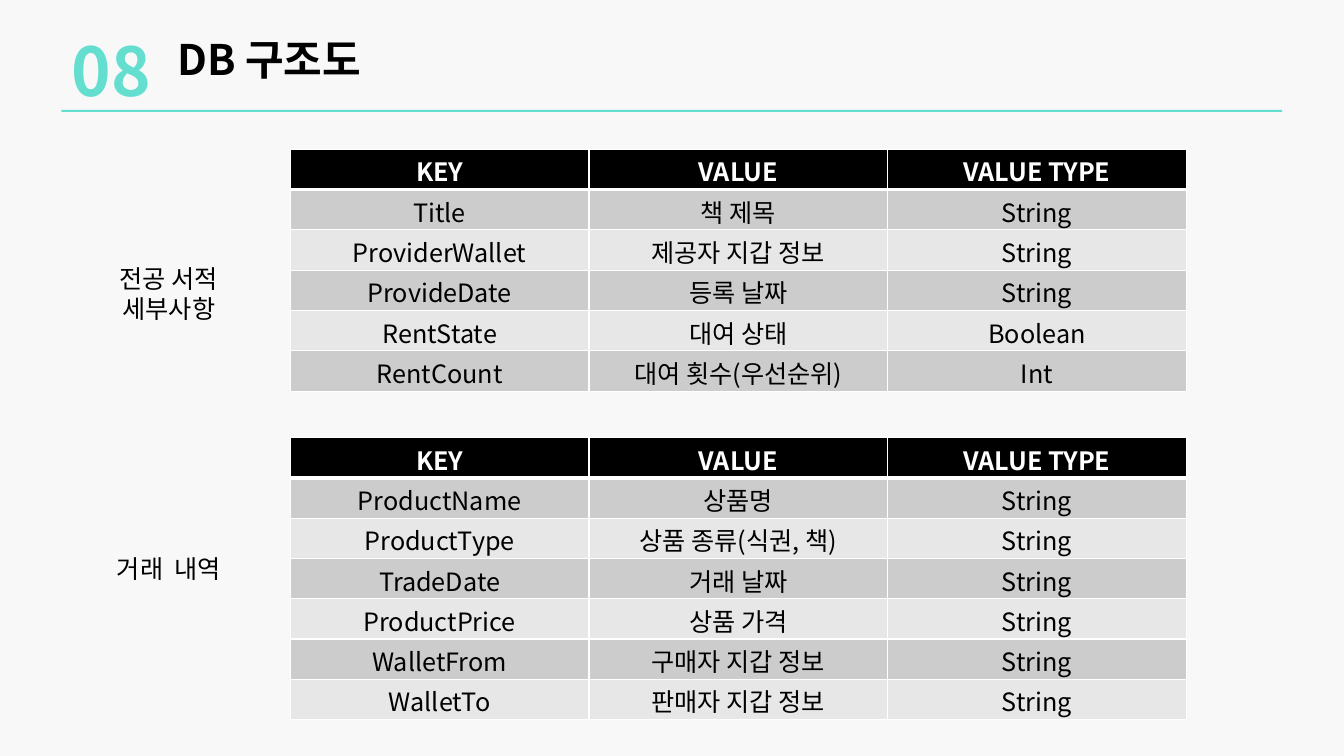
from dataclasses import dataclass

from lxml.etree import SubElement
from pptx import Presentation
from pptx.dml.color import RGBColor
from pptx.enum.shapes import MSO_SHAPE
from pptx.enum.text import MSO_ANCHOR, PP_ALIGN
from pptx.oxml.ns import qn
from pptx.util import Pt

FONT = "Noto Sans CJK KR"
MINT, BLACK, WHITE = "64DECF", "000000", "FFFFFF"
BACKGROUND = "F8F8F8"
BANDS = ("CCCCCC", "E7E7E7")
HEADER = ("KEY", "VALUE", "VALUE TYPE")
MARGIN_LEFT = 43.9
TABLE_LEFT, TABLE_WIDTH, ROW_HEIGHT = 207.4, 640, 28.8
BODY_SIZE = 18


@dataclass
class Caption:
    text: str
    left: float
    top: float
    width: float
    height: float
    size: float
    line_pitch: float
    color: str = BLACK
    bold: bool = False
    align: PP_ALIGN = PP_ALIGN.LEFT
    inset: float = 7.2
    wrap: bool = True


@dataclass
class Schema:
    top: float
    fields: list[tuple[str, str, str]]


def rgb(color: str) -> RGBColor:
    return RGBColor.from_string(color)


def style_paragraph(paragraph, size: float, color: str, bold: bool, align: PP_ALIGN) -> None:
    paragraph.alignment = align
    font = paragraph.font
    font.size, font.bold, font.name = Pt(size), bold, FONT
    font.color.rgb = rgb(color)
    # Hangul takes the East Asian typeface
    defaults = paragraph._p.pPr.find(qn("a:defRPr"))
    SubElement(defaults, qn("a:ea"), typeface=FONT)


def draw_caption(slide, caption: Caption) -> None:
    box = slide.shapes.add_textbox(
        Pt(caption.left), Pt(caption.top), Pt(caption.width), Pt(caption.height))
    frame = box.text_frame
    frame.word_wrap = caption.wrap
    frame.margin_left = frame.margin_right = Pt(caption.inset)
    paragraph = frame.paragraphs[0]
    paragraph.text = caption.text
    paragraph.line_spacing = Pt(caption.line_pitch)
    style_paragraph(paragraph, caption.size, caption.color, caption.bold, caption.align)


def draw_borders(cell, top: float, bottom: float) -> None:
    properties = cell._tc.get_or_add_tcPr()
    for side, width in (("L", 1), ("R", 1), ("T", top), ("B", bottom)):
        line = SubElement(properties, qn(f"a:ln{side}"), w=str(Pt(width)))
        SubElement(SubElement(line, qn("a:solidFill")), qn("a:srgbClr"), val=WHITE)


def draw_schema(slide, schema: Schema) -> None:
    rows = [HEADER, *schema.fields]
    table = slide.shapes.add_table(
        len(rows), len(HEADER), Pt(TABLE_LEFT), Pt(schema.top),
        Pt(TABLE_WIDTH), Pt(ROW_HEIGHT * len(rows))).table
    for row_index, row in enumerate(rows):
        table.rows[row_index].height = Pt(ROW_HEIGHT)
        is_header = row_index == 0
        fill = BLACK if is_header else BANDS[(row_index - 1) % 2]
        for column_index, text in enumerate(row):
            cell = table.cell(row_index, column_index)
            draw_borders(cell, 3 if row_index == 1 else 1, 3 if is_header else 1)
            cell.fill.solid()
            cell.fill.fore_color.rgb = rgb(fill)
            cell.vertical_anchor = MSO_ANCHOR.MIDDLE
            cell.margin_top, cell.margin_bottom = Pt(2), Pt(0)
            paragraph = cell.text_frame.paragraphs[0]
            paragraph.text = text
            style_paragraph(paragraph, BODY_SIZE, WHITE if is_header else BLACK,
                            is_header, PP_ALIGN.CENTER)


def table_label(text: str, top: float) -> Caption:
    return Caption(text, MARGIN_LEFT, top, 153.4, 28.8, BODY_SIZE, 21.4,
                   align=PP_ALIGN.CENTER, inset=12)


CAPTIONS = [
    Caption("08", MARGIN_LEFT, 13.7, 378, 65.5, 48, 61.5, MINT, True),
    Caption("DB 구조도", 119.5, 18.7, 153.4, 43.9, 30, 38, bold=True, wrap=False),
    table_label("전공 서적 세부사항", 185),
    table_label("거래  내역", 391.7),
]

SCHEMAS = [
    # Book details
    Schema(106.6, [
        ("Title", "책 제목", "String"),
        ("ProviderWallet", "제공자 지갑 정보", "String"),
        ("ProvideDate", "등록 날짜", "String"),
        ("RentState", "대여 상태", "Boolean"),
        ("RentCount", "대여 횟수(우선순위)", "Int"),
    ]),
    # Trade history
    Schema(312.5, [
        ("ProductName", "상품명", "String"),
        ("ProductType", "상품 종류(식권, 책)", "String"),
        ("TradeDate", "거래 날짜", "String"),
        ("ProductPrice", "상품 가격", "String"),
        ("WalletFrom", "구매자 지갑 정보", "String"),
        ("WalletTo", "판매자 지갑 정보", "String"),
    ]),
]


def main() -> None:
    presentation = Presentation()
    presentation.slide_width, presentation.slide_height = Pt(960), Pt(540)
    slide = presentation.slides.add_slide(presentation.slide_layouts[6])
    slide.background.fill.solid()
    slide.background.fill.fore_color.rgb = rgb(BACKGROUND)

    # Rule under the heading
    rule = slide.shapes.add_shape(
        MSO_SHAPE.RECTANGLE, Pt(MARGIN_LEFT), Pt(78.5), Pt(872), Pt(1.4))
    rule.shadow.inherit = False
    rule.fill.solid()
    rule.fill.fore_color.rgb = rgb(MINT)
    rule.line.fill.background()

    # Heading and table labels
    for caption in CAPTIONS:
        draw_caption(slide, caption)

    # Key-value tables
    for schema in SCHEMAS:
        draw_schema(slide, schema)

    presentation.save("out.pptx")


if __name__ == "__main__":
    main()
